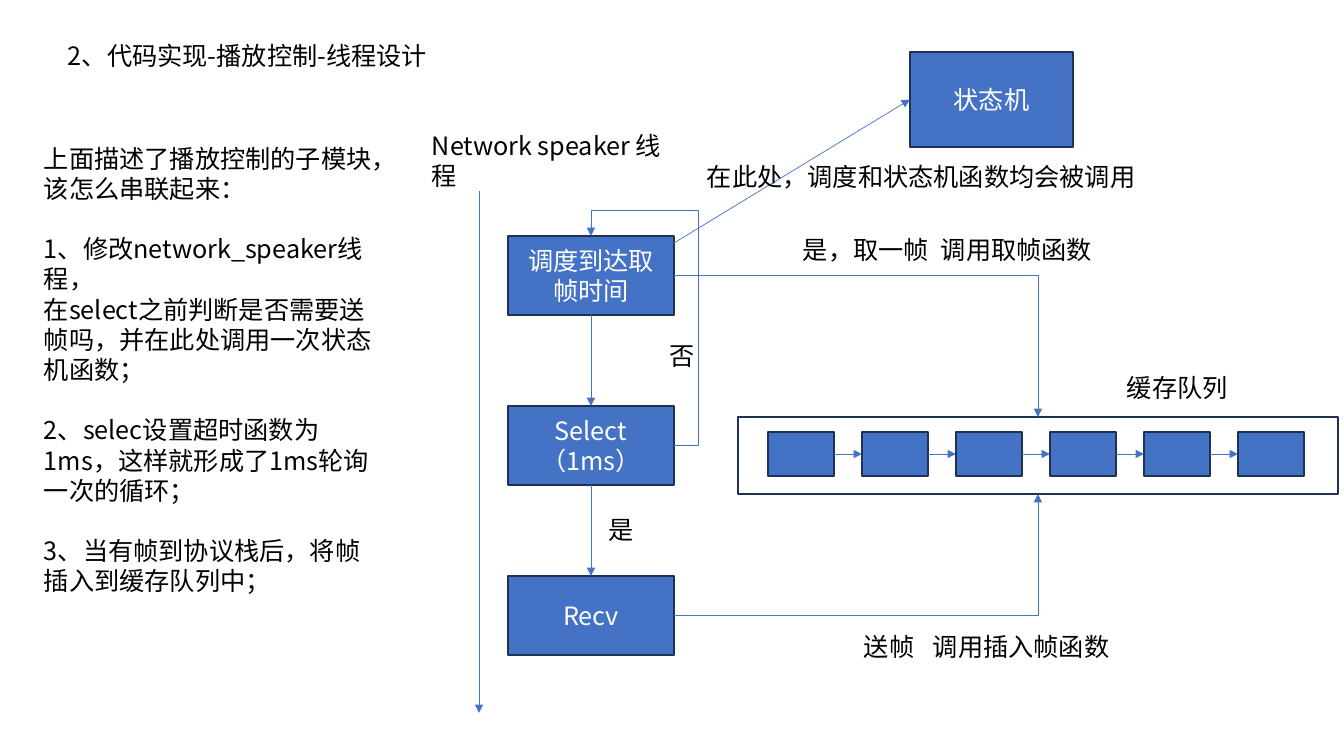
from itertools import pairwise

from lxml.etree import SubElement
from pptx import Presentation
from pptx.dml.color import RGBColor
from pptx.enum.shapes import MSO_CONNECTOR as LINK, MSO_SHAPE as SHAPE
from pptx.enum.text import MSO_ANCHOR as ANCHOR, MSO_AUTO_SIZE as AUTO, PP_ALIGN as ALIGN
from pptx.oxml.ns import qn
from pptx.util import Pt

COLORS = {"fill": "4472C4", "edge": "1E3256", "link": "4472C4",
          "text": "000000", "light": "FFFFFF"}
FONT = "Noto Sans CJK SC"
SIZE = 18
EMU_PER_PX = 914400 / 100.8
TOP, LEFT, BOTTOM, RIGHT = range(4)

LABELS = [
    ("2、代码实现-播放控制-线程设计", 58, 35, 390),
    ("送帧", 854, 626, 72),
    ("是，取一帧", 793, 229, 148),
    ("缓存队列", 1117, 367, 123),
    ("否", 660, 335, 46),
    ("是", 599, 509, 46),
    ("Network speaker 线程", 422, 125, 272),
    ("调用插入帧函数", 923, 626, 199),
    ("调用取帧函数", 931, 229, 177),
    ("在此处，调度和状态机函数均会被调用", 697, 156, 453),
]
NOTES = [
    ("上面描述了播放控制的子模块，该怎么串联起来：", 0),
    ("1、修改network_speaker线程，", 30),
    ("在select之前判断是否需要送帧吗，并在此处调用一次状态机函数；", 0),
    ("2、selec设置超时函数为1ms，这样就形成了1ms轮询一次的循环；", 30),
    ("3、当有帧到协议栈后，将帧插入到缓存队列中；", 30),
]
NOTES_AREA = (34, 138, 355, 437)
STEPS = ["调度到达取帧时间", "Select（1ms）", "Recv"]
STEP_AREA, STEP_PITCH = (508, 236, 166, 79), 170
STATE_MACHINE, STATE_AREA = "状态机", (910, 52, 163, 95)
QUEUE_AREA = (738, 417, 600, 77)
FRAME_AREA, FRAME_PITCH, FRAME_COUNT = (768, 432, 66, 44), 94, 6
THREAD_LINE = (479, 191, 479, 713)
DISPATCH_CORNER = (674, 243)


def px(*lengths):
    return [round(length * EMU_PER_PX) for length in lengths]


def color(name):
    return RGBColor.from_string(COLORS[name])


def style(para, ink):
    font = para.font
    font.size, font.name = Pt(SIZE), FONT
    font.color.rgb = color(ink)
    SubElement(font._element, qn("a:ea"), typeface=FONT)


def add_text(area, lines):
    box = page.shapes.add_textbox(*px(*area))
    frame = box.text_frame
    frame.word_wrap = True
    frame.auto_size = AUTO.SHAPE_TO_FIT_TEXT
    for index, (text, gap) in enumerate(lines):
        para = frame.add_paragraph() if index else frame.paragraphs[0]
        para.text = text
        para.space_before = px(gap)[0]
        style(para, "text")


def add_box(area, text="", filled=True):
    box = page.shapes.add_shape(SHAPE.RECTANGLE, *px(*area))
    box.shadow.inherit = False
    if filled:
        box.fill.solid()
        box.fill.fore_color.rgb = color("fill")
    else:
        box.fill.background()
    box.line.color.rgb = color("edge")
    box.line.width = Pt(1)
    if text:
        box.text_frame.vertical_anchor = ANCHOR.MIDDLE
        para = box.text_frame.paragraphs[0]
        para.text = text
        para.alignment = ALIGN.CENTER
        style(para, "light")
    return box


def add_arrow(ends=(0, 0, 0, 0), start=None, finish=None, bend=None, adjust=()):
    arrow = page.shapes.add_connector(LINK.ELBOW if bend else LINK.STRAIGHT, *px(*ends))
    if start:
        arrow.begin_connect(*start)
    if finish:
        arrow.end_connect(*finish)
    arrow.line.color.rgb = color("link")
    arrow.line.width = Pt(0.5)
    properties = arrow._element.spPr
    SubElement(arrow.line._get_or_add_ln(), qn("a:tailEnd"), type="triangle")
    SubElement(properties, qn("a:effectLst"))
    if bend:
        geometry = properties.find(qn("a:prstGeom"))
        geometry.set("prst", bend)
        guides = geometry.find(qn("a:avLst"))
        for number, value in enumerate(adjust, 1):
            SubElement(guides, qn("a:gd"), name=f"adj{number}",
                       fmla=f"val {round(value * 100000)}")


deck = Presentation()
deck.slide_width, deck.slide_height = px(1344, 756)
page = deck.slides.add_slide(deck.slide_layouts[6])

x, y, width, height = STEP_AREA
steps = [add_box((x, y + row * STEP_PITCH, width, height), text)
         for row, text in enumerate(STEPS)]
dispatch, select, receive = steps
x, y, width, height = FRAME_AREA
frames = [add_box((x + column * FRAME_PITCH, y, width, height))
          for column in range(FRAME_COUNT)]
queue = add_box(QUEUE_AREA, filled=False)
state = add_box(STATE_AREA, STATE_MACHINE)

for upper, lower in pairwise(steps):
    add_arrow(start=(upper, BOTTOM), finish=(lower, TOP))
for before, after in pairwise(frames):
    add_arrow(start=(before, RIGHT), finish=(after, LEFT))
add_arrow(start=(dispatch, RIGHT), finish=(queue, TOP), bend="bentConnector2")
add_arrow(start=(receive, RIGHT), finish=(queue, BOTTOM), bend="bentConnector2")
add_arrow(start=(select, RIGHT), finish=(dispatch, TOP),
          bend="bentConnector4", adjust=(-0.3, 1.12))
add_arrow((*DISPATCH_CORNER, *DISPATCH_CORNER), finish=(state, LEFT))
add_arrow(THREAD_LINE)

for text, x, y, width in LABELS:
    add_text((x, y, width, 40), [(text, 0)])
add_text(NOTES_AREA, NOTES)

deck.save("out.pptx")
